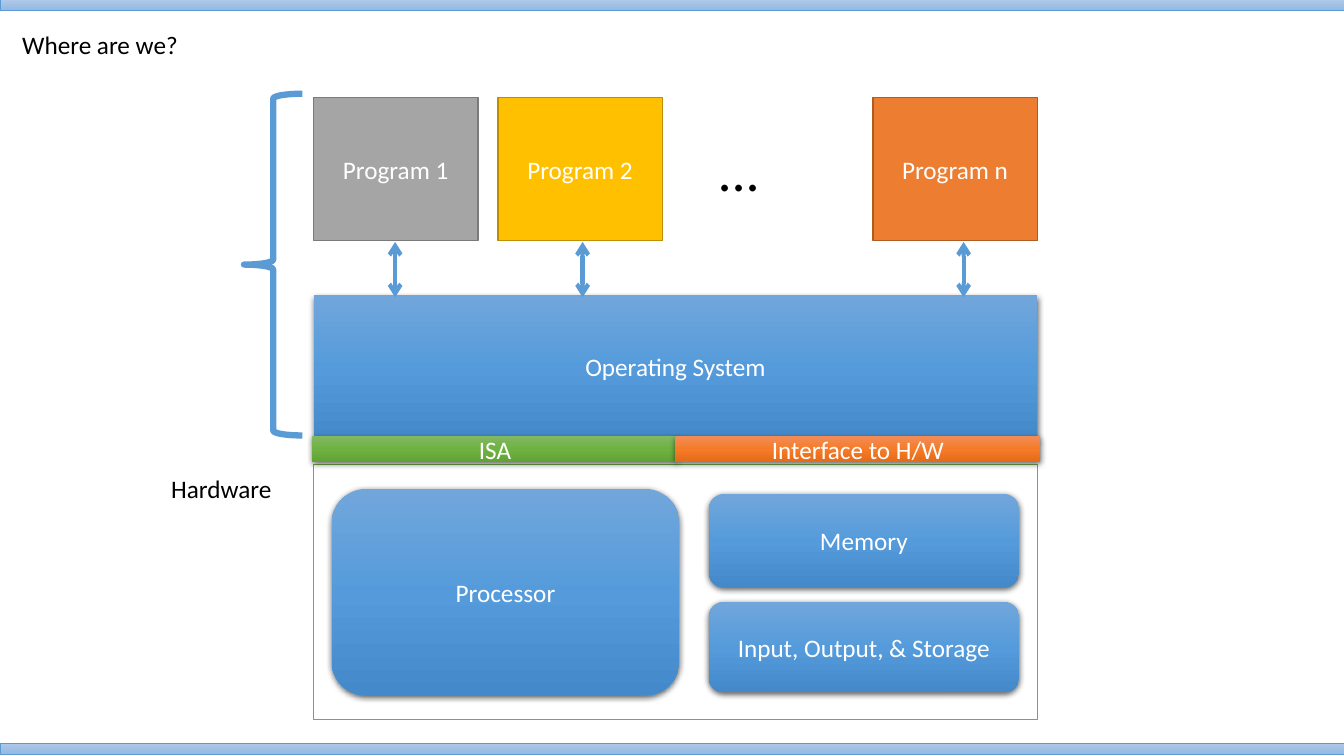
from dataclasses import dataclass

from lxml.etree import SubElement
from pptx import Presentation
from pptx.dml.color import RGBColor
from pptx.enum.shapes import MSO_CONNECTOR as CONN, MSO_SHAPE as SHAPE
from pptx.enum.text import MSO_ANCHOR as ANCHOR, PP_ALIGN as ALIGN
from pptx.oxml.ns import qn
from pptx.util import Inches, Pt


@dataclass(frozen=True)
class Theme:
    font: str = "Calibri"
    body: int = 18
    dots: int = 40
    black: str = "000000"
    white: str = "FFFFFF"
    accent: str = "5B9BD5"
    frame: str = "70AD47"
    bar: tuple = ("B1CBE9", "A3C1E5", "93B9E4")
    blue: tuple = ("71A6DB", "559BDB", "448ACA")
    green: tuple = ("81B861", "6FB242", "62A336")
    orange: tuple = ("F18C57", "F67B28", "E56C19")


T = Theme()
WIDTH, HEIGHT = Inches(13.333), Inches(7.5)

# Shares of the slide, in percent
LEFT, STACK_W = 23.33, 53.85
PROGRAM_W, PROGRAM_GAP = 12.23, 1.49
TIER_H = 18.93
BAR_H = 1.47


def px(share):
    return round(WIDTH * share / 100)


def py(share):
    return round(HEIGHT * share / 100)


def area(x, y, w, h):
    return px(x), py(y), px(w), py(h)


def rgb(color):
    return RGBColor.from_string(color)


def write(s, text, size=T.body, color=T.black, align=ALIGN.LEFT,
          anchor=ANCHOR.TOP):
    tf = s.text_frame
    tf.word_wrap = True
    tf.vertical_anchor = anchor
    p = tf.paragraphs[0]
    p.alignment = align
    r = p.add_run()
    r.text = text
    r.font.name, r.font.size = T.font, Pt(size)
    r.font.color.rgb = rgb(color)


def paint(s, fill):
    """Fill with one colour, a vertical gradient of several, or nothing."""
    if fill is None:
        s.fill.background()
    elif isinstance(fill, str):
        s.fill.solid()
        s.fill.fore_color.rgb = rgb(fill)
    else:
        s.fill.gradient()
        s.fill.gradient_angle = 270
        stops = s._element.spPr.find(".//" + qn("a:gsLst"))
        for stop in list(stops):
            stops.remove(stop)
        for i, color in enumerate(fill):
            pos = str(100000 * i // (len(fill) - 1))
            stop = SubElement(stops, qn("a:gs"), pos=pos)
            SubElement(stop, qn("a:srgbClr"), val=color)


def add_shadow(s):
    effects = s._element.spPr.find(qn("a:effectLst"))
    shadow = SubElement(effects, qn("a:outerShdw"), blurRad=str(Pt(4.5)),
                        dist=str(Pt(1.5)), dir="5400000", rotWithShape="0")
    color = SubElement(shadow, qn("a:srgbClr"), val=T.black)
    SubElement(color, qn("a:alpha"), val="63000")


def add_block(sl, place, fill, text=None, kind=SHAPE.RECTANGLE, line=None,
              weight=1, raised=False):
    s = sl.shapes.add_shape(kind, *area(*place))
    s.shadow.inherit = False
    paint(s, fill)
    if line:
        s.line.color.rgb = rgb(line)
        s.line.width = Pt(weight)
    else:
        s.line.fill.background()
    if raised:
        add_shadow(s)
    if text:
        write(s, text, color=T.white, align=ALIGN.CENTER, anchor=ANCHOR.MIDDLE)


def add_label(sl, place, text, size=T.body):
    write(sl.shapes.add_textbox(*area(*place)), text, size=size)


def add_arrow(sl, x, top, bottom):
    s = sl.shapes.add_connector(CONN.STRAIGHT, px(x), py(top), px(x), py(bottom))
    s.line.color.rgb = rgb(T.accent)
    s.line.width = Pt(3)
    for end in ("headEnd", "tailEnd"):
        SubElement(s.line._get_or_add_ln(), qn("a:" + end), type="arrow")
    SubElement(s._element.spPr, qn("a:effectLst"))


def add_title(sl, place, text):
    s = sl.shapes.title
    s.left, s.top, s.width, s.height = area(*place)
    write(s, text)


def main():
    prs = Presentation()
    prs.slide_width, prs.slide_height = WIDTH, HEIGHT
    sl = prs.slides.add_slide(prs.slide_layouts[5])

    # Edge bars and title
    for y in (-0.13, 98.27):
        add_block(sl, (0, y, 100, BAR_H), T.bar, line=T.accent, weight=0.5)
    add_title(sl, (0.9, 3.2, 92.1, 5.6), "Where are we?")

    # Programs
    programs = (
        ("Program 1", LEFT, "A5A5A5", "7A7A7A"),
        ("Program 2", LEFT + PROGRAM_W + PROGRAM_GAP, "FFC000", "BD8E00"),
        ("Program n", LEFT + STACK_W - PROGRAM_W, "ED7D31", "AF5C24"),
    )
    for text, x, fill, line in programs:
        add_block(sl, (x, 12.93, PROGRAM_W, TIER_H), fill, text, line=line)
    add_label(sl, (52.65, 17.2, 10.88, 10.8), "...", size=T.dots)

    # Operating system and its links to the programs
    add_block(sl, (LEFT, 39.07, STACK_W, TIER_H), T.blue, "Operating System",
              raised=True)
    for x in (29.4, 43.35, 71.7):
        add_arrow(sl, x, 32, 39.33)

    # Hardware
    add_block(sl, (LEFT, 61.47, STACK_W, 33.73), T.white, line=T.frame)
    add_label(sl, (12, 62, 10.43, 5.6), "Hardware")
    parts = (
        ("Processor", (24.68, 64.67, 25.88, 27.33)),
        ("Memory", (52.73, 65.33, 23.1, 12.4)),
        ("Input, Output, & Storage", (52.73, 79.6, 23.1, 12)),
    )
    for text, place in parts:
        add_block(sl, place, T.blue, text, kind=SHAPE.ROUNDED_RECTANGLE,
                  raised=True)

    # Interfaces between software and hardware
    for text, x, fill in (("ISA", 23.25, T.green),
                          ("Interface to H/W", 50.25, T.orange)):
        add_block(sl, (x, 57.73, 27.15, 3.33), fill, text, raised=True)

    # Brace around the software tiers
    add_block(sl, (18.15, 12.4, 4.35, 45.2), None, kind=SHAPE.LEFT_BRACE,
              line=T.accent, weight=4.5)

    prs.save("out.pptx")


if __name__ == "__main__":
    main()
